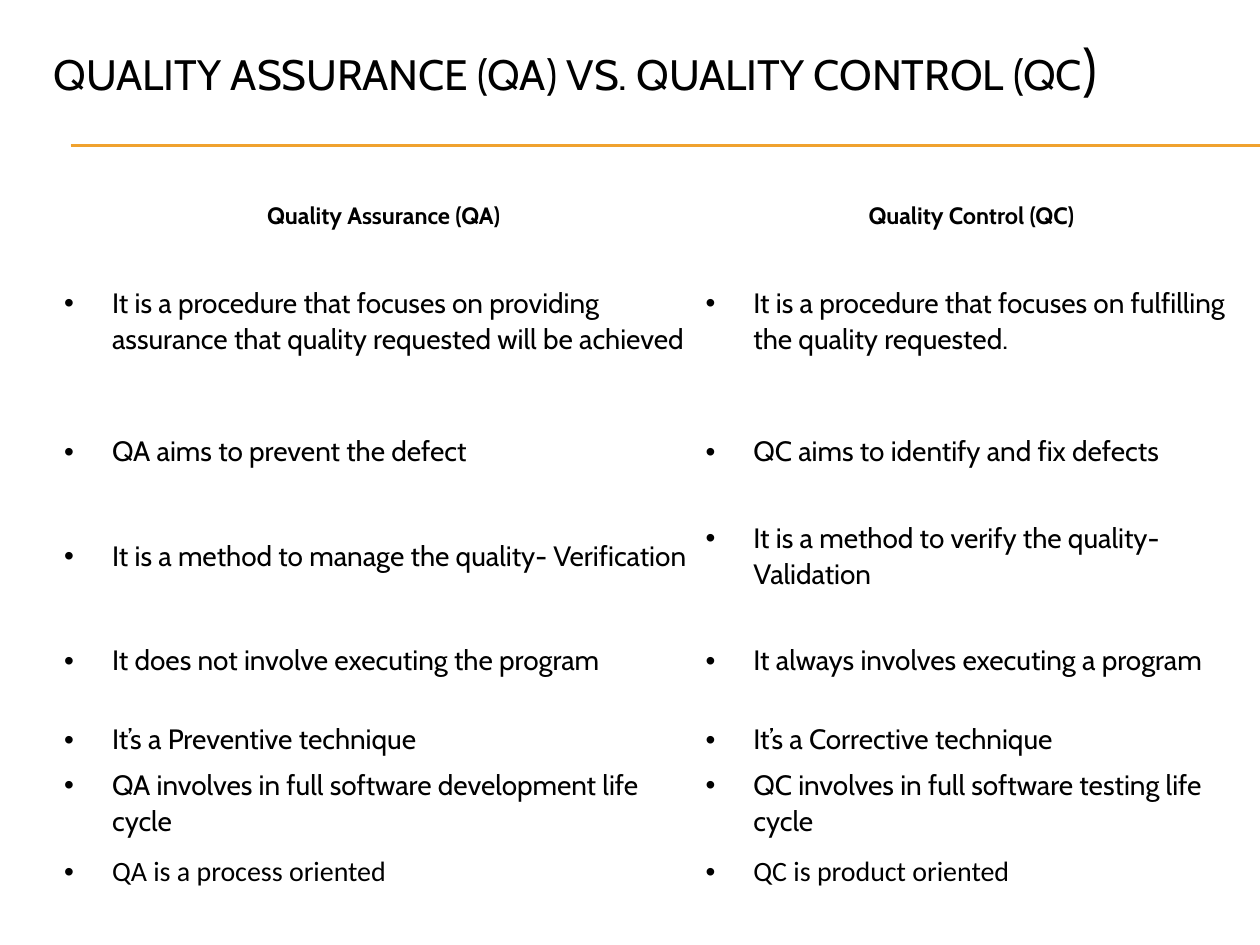
import pptx
import pptx.dml.color
import pptx.enum.shapes
import pptx.enum.text
import pptx.oxml
import pptx.oxml.ns
import pptx.util
from lxml import etree

Inches, Pt = pptx.util.Inches, pptx.util.Pt
RGBColor = pptx.dml.color.RGBColor
PP_ALIGN = pptx.enum.text.PP_ALIGN
MIDDLE = pptx.enum.text.MSO_ANCHOR.MIDDLE
qn = pptx.oxml.ns.qn

BLACK = RGBColor(0, 0, 0)
WHITE = RGBColor(0xFF, 0xFF, 0xFF)
AMBER = RGBColor(0xF0, 0xA2, 0x2E)
HEADING_FONT, PLAIN_FONT = "Cabin", "Calibri"

SLIDE_W, SLIDE_H = 10, 7.5
COLUMN_WIDTHS = (5.09, 4.24)
ROW_HEIGHTS = (0.42, 1.24, 0.83, 0.83, 0.83, 0.42, 0.83)
HEADERS = ("Quality Assurance (QA)", "Quality Control (QC)")

# Each row pairs the QA points with the QC points: (text, font)
COMPARISON = [
    ([(qa, HEADING_FONT)], [(qc, HEADING_FONT)]) for qa, qc in (
        ("It is a procedure that focuses on providing assurance that quality "
         "requested will be achieved",
         "It is a procedure that focuses on fulfilling the quality requested."),
        ("QA aims to prevent the defect", "QC aims to identify and fix defects"),
        ("It is a method to manage the quality- Verification",
         "It is a method to verify the quality-Validation"),
        ("It does not involve executing the program",
         "It always involves executing a program"),
        ("It’s a Preventive technique", "It’s a Corrective technique"),
    )
] + [(
    [("QA involves in full software development life cycle", HEADING_FONT),
     ("QA is a process oriented", PLAIN_FONT)],
    [("QC involves in full software testing life cycle", HEADING_FONT),
     ("QC is product oriented", PLAIN_FONT)],
)]


def add_run(paragraph, text, size, font=HEADING_FONT, bold=False):
    run = paragraph.add_run()
    run.text = text
    run.font.size = Pt(size)
    run.font.name = font
    run.font.bold = bold
    run.font.color.rgb = BLACK


def add_title(slide):
    title = slide.shapes.add_textbox(
        Inches(0.33), Inches(0.33), Inches(9.5), Inches(0.42))
    frame = title.text_frame
    frame.word_wrap = True
    frame.vertical_anchor = MIDDLE
    heading = frame.paragraphs[0]
    add_run(heading, "QUALITY ASSURANCE (QA) VS. QUALITY CONTROL (QC", 24.3)
    add_run(heading, ")", 32.4)


def add_rule(slide, y):
    rule = slide.shapes.add_connector(
        pptx.enum.shapes.MSO_CONNECTOR.STRAIGHT,
        Inches(0.56), Inches(y), Inches(SLIDE_W), Inches(y))
    rule.line.color.rgb = AMBER
    rule.line.width = Pt(0.75)
    etree.SubElement(rule.element.spPr, qn("a:effectLst"))


def style_cell(cell, bottom_width=1):
    cell.fill.solid()
    cell.fill.fore_color.rgb = WHITE
    cell.vertical_anchor = MIDDLE
    cell.margin_left = cell.margin_right = Inches(0.01)
    cell.margin_top = cell.margin_bottom = Inches(0.01)
    # Borders come before the fill in the cell properties
    properties = cell._tc.get_or_add_tcPr()
    widths = {"lnL": 1, "lnR": 1, "lnT": 1, "lnB": bottom_width}
    for position, (side, width) in enumerate(widths.items()):
        border = etree.Element(qn(f"a:{side}"), w=str(Pt(width)))
        fill = etree.SubElement(border, qn("a:solidFill"))
        etree.SubElement(fill, qn("a:srgbClr"), val=str(WHITE))
        properties.insert(position, border)


def make_bullet(paragraph):
    paragraph.space_after = Pt(8)
    properties = paragraph._p.get_or_add_pPr()
    properties.set("marL", str(Inches(0.38)))
    properties.set("indent", str(-Inches(0.38)))
    etree.SubElement(properties, qn("a:buFont"), typeface="Arial")
    etree.SubElement(properties, qn("a:buChar"), char="•")
    tabs = etree.SubElement(properties, qn("a:tabLst"))
    etree.SubElement(tabs, qn("a:tab"), pos=str(Inches(0.5)), algn="l")


def fill_header(cell, text):
    style_cell(cell, bottom_width=3)
    header = cell.text_frame.paragraphs[0]
    header.alignment = PP_ALIGN.CENTER
    header.line_spacing = 1.07
    add_run(header, text, 13.5, bold=True)


def fill_points(cell, points):
    style_cell(cell)
    frame = cell.text_frame
    for index, (text, font) in enumerate(points):
        point = frame.add_paragraph() if index else frame.paragraphs[0]
        point.line_spacing = 1.07
        make_bullet(point)
        add_run(point, text, 16, font)


def add_comparison(slide):
    table = slide.shapes.add_table(
        len(ROW_HEIGHTS), len(COLUMN_WIDTHS), Inches(0.5), Inches(1.5),
        Inches(sum(COLUMN_WIDTHS)), Inches(sum(ROW_HEIGHTS))).table
    table.horz_banding = False
    for column, width in zip(table.columns, COLUMN_WIDTHS):
        column.width = Inches(width)
    for row, height in zip(table.rows, ROW_HEIGHTS):
        row.height = Inches(height)
    for column, text in enumerate(HEADERS):
        fill_header(table.cell(0, column), text)
    for row, sides in enumerate(COMPARISON, start=1):
        for column, points in enumerate(sides):
            fill_points(table.cell(row, column), points)


def main():
    deck = pptx.Presentation()
    deck.slide_width, deck.slide_height = Inches(SLIDE_W), Inches(SLIDE_H)
    slide = deck.slides.add_slide(deck.slide_layouts[6])

    # Double rule under the title
    for y in (1.15, 1.16):
        add_rule(slide, y)
    add_title(slide)
    add_comparison(slide)
    deck.save("out.pptx")


if __name__ == "__main__":
    main()
